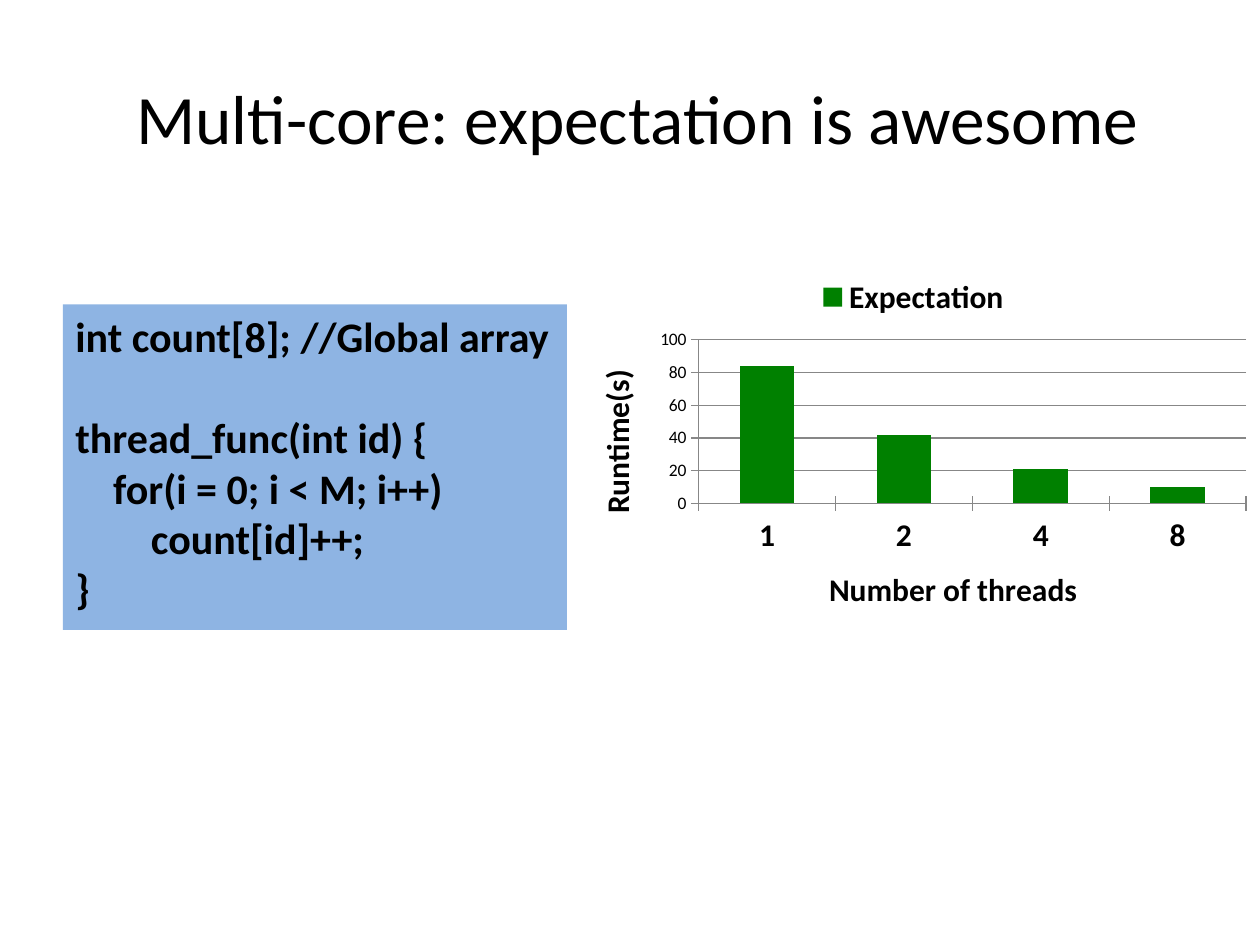
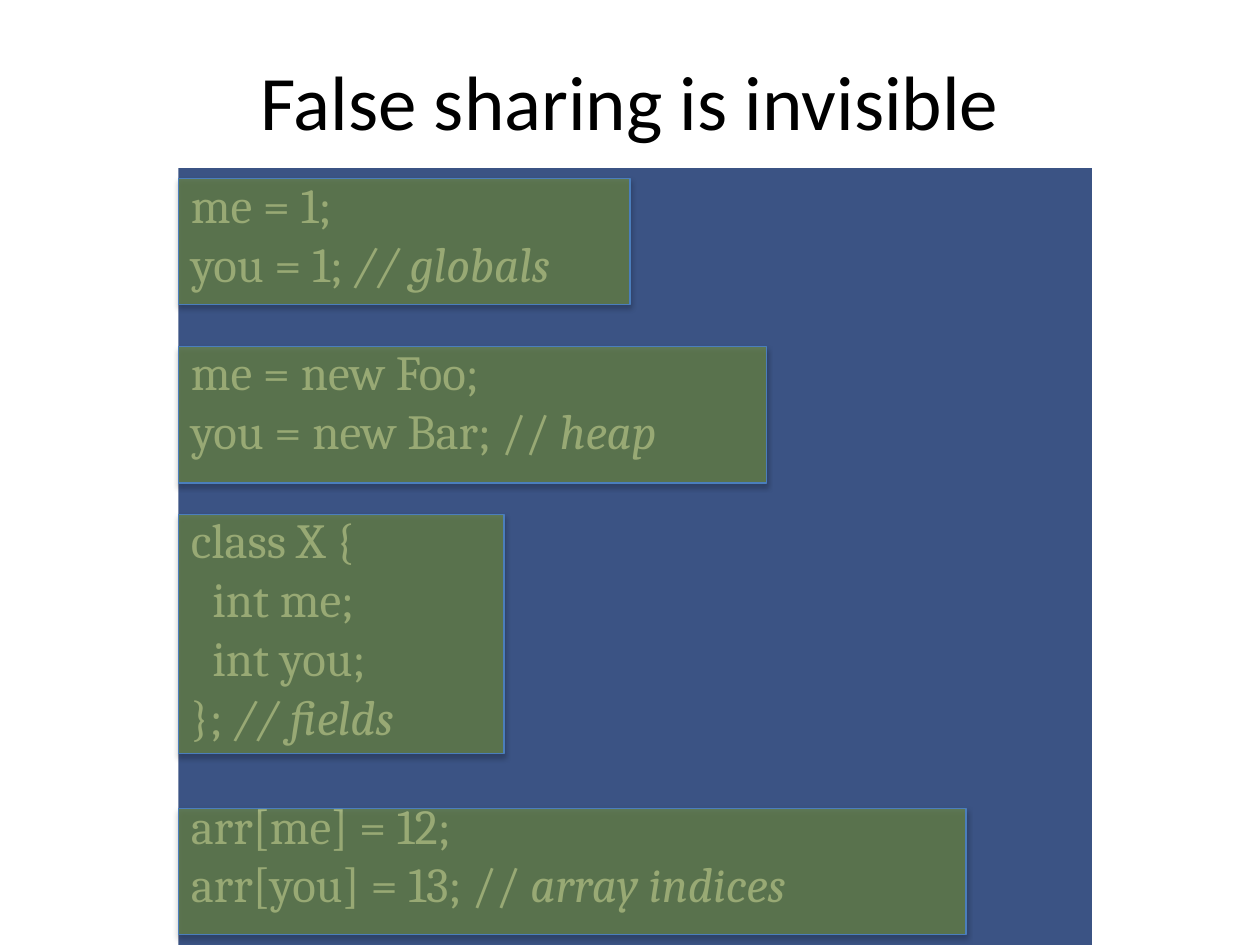
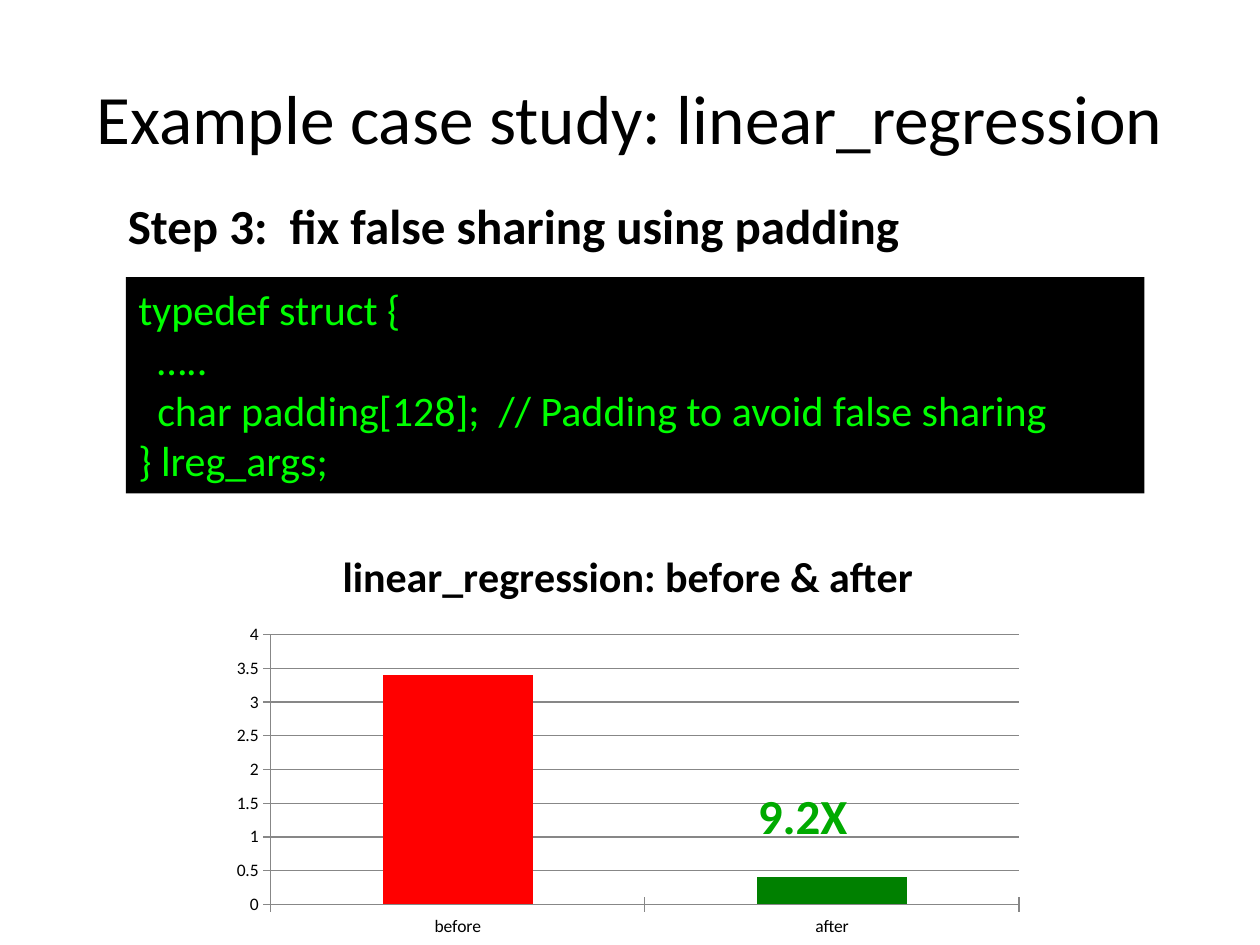
import dataclasses

import pptx
import pptx.chart.data
import pptx.dml.color
import pptx.enum.chart
import pptx.enum.shapes
import pptx.enum.text
import pptx.oxml
import pptx.oxml.ns
import pptx.util


@dataclasses.dataclass(frozen=True)
class Theme:
    font: str = "Calibri"
    serif: str = "Cambria"
    black: str = "000000"
    white: str = "FFFFFF"
    sky: str = "8EB4E3"
    navy: str = "002060"
    olive: str = "77933C"
    edge: str = "4B7EBC"
    lime: str = "00FF00"
    leaf: str = "00AA00"
    green: str = "008000"
    red: str = "FF0000"
    blue: str = "4F81BD"
    grid: str = "878787"
    head: float = 44
    tight: float = 39.6
    large: float = 28
    body: float = 24
    label: float = 18
    tick: float = 10


@dataclasses.dataclass(frozen=True)
class Line:
    text: str
    note: str = ""
    indent: float = 0
    gap: float = 0


THEME = Theme()
COLS, ROWS = 120, 90
WIDE, HIGH = pptx.util.Inches(10), pptx.util.Inches(7.5)
SHADOW = (
    '<a:outerShdw xmlns:a="http://schemas.openxmlformats.org/drawingml/2006/main"'
    ' blurRad="40000" dist="23000" dir="5400000" rotWithShape="0">'
    '<a:srgbClr val="000000"><a:alpha val="35000"/></a:srgbClr></a:outerShdw>'
)


def place(col, row, cols, rows):
    return (
        round(WIDE * col / COLS),
        round(HIGH * row / ROWS),
        round(WIDE * cols / COLS),
        round(HIGH * rows / ROWS),
    )


def rgb(code):
    return pptx.dml.color.RGBColor.from_string(code)


def style(font, size, color=THEME.black, bold=False, face=THEME.font):
    font.name = face
    font.size = pptx.util.Pt(size)
    font.bold = bold
    font.color.rgb = rgb(color)


def paint(fill, color, alpha=100):
    fill.solid()
    fill.fore_color.rgb = rgb(color)
    if alpha < 100:
        tone = fill._xPr.find(".//" + pptx.oxml.ns.qn("a:srgbClr"))
        node = pptx.oxml.parse_xml(
            f'<a:alpha {pptx.oxml.ns.nsdecls("a")} val="{alpha * 1000}"/>'
        )
        tone.append(node)


def write(frame, lines, size, color, bold=False, face=THEME.font):
    frame.vertical_anchor = pptx.enum.text.MSO_ANCHOR.TOP
    for i, line in enumerate(lines):
        para = frame.add_paragraph() if i else frame.paragraphs[0]
        para.alignment = pptx.enum.text.PP_ALIGN.LEFT
        para.space_before = pptx.util.Pt(line.gap)
        if line.indent:
            props = para._p.get_or_add_pPr()
            props.set("marL", str(pptx.util.Inches(line.indent)))
            props.set("indent", "0")
        for text, slant in ((line.text, False), (line.note, True)):
            if text:
                run = para.add_run()
                run.text = text
                style(run.font, size, color, bold, face)
                run.font.italic = slant


def start(deck, text, size, row=3.6, shift=0):
    slide = deck.slides.add_slide(deck.slide_layouts[5])
    title = slide.shapes.title
    title.left, title.top, title.width, title.height = place(6, row, 108, 15)
    frame = title.text_frame
    frame.auto_size = pptx.enum.text.MSO_AUTO_SIZE.NONE
    frame.vertical_anchor = pptx.enum.text.MSO_ANCHOR.MIDDLE
    frame.margin_left = pptx.util.Inches(0.1 + shift)
    para = frame.paragraphs[0]
    para.alignment = pptx.enum.text.PP_ALIGN.CENTER
    run = para.add_run()
    run.text = text
    style(run.font, size)
    return slide


def panel(slide, area, color, alpha=100):
    kind = pptx.enum.shapes.MSO_SHAPE.RECTANGLE
    shape = slide.shapes.add_shape(kind, *place(*area))
    shape.shadow.inherit = False
    paint(shape.fill, color, alpha)
    shape.line.fill.background()
    return shape


def cover(slide, area):
    shape = panel(slide, area, THEME.olive, 60)
    shape.line.color.rgb = rgb(THEME.edge)
    shape.line.width = pptx.util.Pt(0.75)
    effects = shape._element.spPr.find(pptx.oxml.ns.qn("a:effectLst"))
    effects.append(pptx.oxml.parse_xml(SHADOW))


def note(slide, area, text, color):
    frame = slide.shapes.add_textbox(*place(*area)).text_frame
    frame.word_wrap = False
    write(frame, [Line(text)], THEME.large, color, True)


def caption(frame, text, size):
    run = frame.paragraphs[0].add_run()
    run.text = text
    style(run.font, size, bold=True)


def plot(slide, area, name, cats, vals, color, top, step):
    data = pptx.chart.data.CategoryChartData()
    data.categories = cats
    data.add_series(name, vals)
    kind = pptx.enum.chart.XL_CHART_TYPE.COLUMN_CLUSTERED
    chart = slide.shapes.add_chart(kind, *place(*area), data).chart
    style(chart.font, THEME.tick)
    chart.has_title = False
    chart.has_legend = False
    bars = chart.plots[0]
    bars.vary_by_categories = False
    bars.gap_width = 150
    paint(bars.series[0].format.fill, color)
    for axis in (chart.category_axis, chart.value_axis):
        axis.major_tick_mark = pptx.enum.chart.XL_TICK_MARK.CROSS
        axis.format.line.color.rgb = rgb(THEME.grid)
    axis = chart.value_axis
    axis.minimum_scale, axis.maximum_scale = 0, top
    axis.major_unit = step
    axis.has_major_gridlines = True
    axis.major_gridlines.format.line.color.rgb = rgb(THEME.grid)
    return chart


def expect(deck):
    slide = start(deck, "Multi-core: expectation is awesome", THEME.tight, shift=0.12)
    code = [
        Line("int count[8]; //Global array"),
        Line("thread_func(int id) {", gap=29),
        Line("for(i = 0; i < M; i++)", indent=0.3),
        Line("count[id]++;", indent=0.6),
        Line("}"),
    ]
    box = panel(slide, (6, 29, 48, 31), THEME.sky)
    write(box.text_frame, code, THEME.body, THEME.black, True)
    chart = plot(
        slide, (54, 25, 66, 35.9), "Expectation",
        ["1", "2", "4", "8"], [84, 42, 21, 10], THEME.green, 100, 20,
    )
    chart.has_legend = True
    chart.legend.position = pptx.enum.chart.XL_LEGEND_POSITION.TOP
    chart.legend.include_in_layout = False
    style(chart.legend.font, THEME.label, bold=True)
    style(chart.category_axis.tick_labels.font, THEME.label, bold=True)
    caption(chart.category_axis.axis_title.text_frame, "Number of threads", THEME.label)
    side = chart.value_axis.axis_title.text_frame
    caption(side, "Runtime(s)", THEME.label)
    side._txBody.bodyPr.set("rot", "-5400000")
    side._txBody.bodyPr.set("vert", "horz")


def share(deck):
    slide = start(deck, "False sharing is invisible", THEME.head, row=2)
    gap = 28.6
    code = [
        Line("me = 1;"),
        Line("you = 1; ", "// globals"),
        Line("me = new Foo;", gap=gap),
        Line("you = new Bar; // ", "heap"),
        Line("class X {", gap=gap),
        Line("int me;", indent=0.17),
        Line("int you;", indent=0.17),
        Line("}; ", "// fields"),
        Line("arr[me] = 12;", gap=gap),
        Line("arr[you] = 13; // ", "array indices"),
    ]
    box = panel(slide, (17, 16, 87, 74), THEME.navy, 77)
    write(box.text_frame, code, THEME.large, THEME.white, face=THEME.serif)
    for row, cols, rows in ((17, 43, 12), (33, 56, 13), (49, 31, 22.8), (77, 75, 12)):
        cover(slide, (17, row, cols, rows))


def study(deck):
    slide = start(deck, "Example case study: linear_regression", THEME.tight)
    code = [
        Line("typedef struct {"),
        Line("…..", indent=0.15),
        Line("char padding[128];  // Padding to avoid false sharing", indent=0.15),
        Line("} lreg_args;"),
    ]
    box = panel(slide, (12, 26.4, 97, 20.6), THEME.black)
    write(box.text_frame, code, THEME.body, THEME.lime)
    note(slide, (11, 18, 78, 6.8), "Step 3:  fix false sharing using padding", THEME.black)
    chart = plot(
        slide, (21, 50, 77.6, 40), "Series 1",
        ["before", "after"], [3.4, 0.4], THEME.blue, 4, 0.5,
    )
    chart.has_title = True
    caption(chart.chart_title.text_frame, "linear_regression: before & after", THEME.body)
    chart.chart_title.include_in_layout = False
    for i, color in enumerate((THEME.red, THEME.green)):
        paint(chart.plots[0].series[0].points[i].format.fill, color)
    note(slide, (71, 74.2, 11, 6.8), "9.2X", THEME.leaf)


def main():
    deck = pptx.Presentation()
    deck.slide_width, deck.slide_height = WIDE, HIGH
    expect(deck)
    share(deck)
    study(deck)
    deck.save("out.pptx")


if __name__ == "__main__":
    main()
